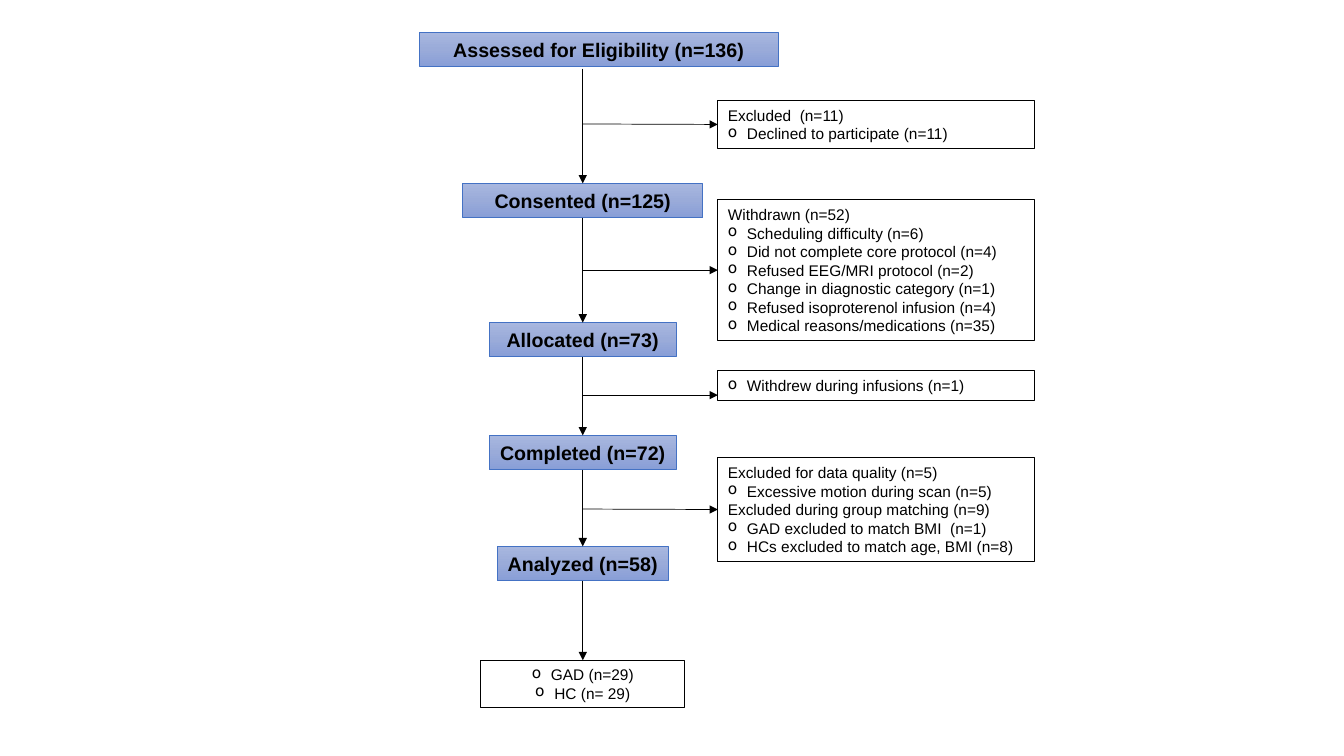
from copy import deepcopy
from dataclasses import dataclass

from lxml import etree
from pptx import Presentation
from pptx.dml.color import RGBColor
from pptx.enum.shapes import MSO_CONNECTOR, MSO_SHAPE
from pptx.enum.text import MSO_ANCHOR, PP_ALIGN
from pptx.oxml.ns import qn
from pptx.util import Inches, Pt

RECTANGLE = MSO_SHAPE.RECTANGLE
STRAIGHT = MSO_CONNECTOR.STRAIGHT
MIDDLE = MSO_ANCHOR.MIDDLE
LEFT, CENTER = PP_ALIGN.LEFT, PP_ALIGN.CENTER
TOP_SIDE, LEFT_SIDE, BOTTOM_SIDE = 0, 1, 2


@dataclass(frozen=True)
class Theme:
    """Colours, type sizes and line widths of the flow chart."""
    font: str = "Arial"
    ink: RGBColor = RGBColor(0, 0, 0)
    stage_line: RGBColor = RGBColor(0x44, 0x72, 0xC4)
    gradient: tuple = ((0, "A8B7DF"), (0.5, "9AABD9"), (1, "889ED7"))
    stage_size: Pt = Pt(14)
    note_size: Pt = Pt(11)
    thin: Pt = Pt(0.5)
    note_line: Pt = Pt(0.75)


THEME = Theme()
AXIS = 5.78
NOTE_LEFT, NOTE_WIDTH = 7.12, 3.14
STAGE_HEIGHT = 0.34

# Text, centre, top, width
STAGES = (
    ("Assessed for Eligibility (n=136)", 5.94, 0.32, 3.56),
    ("Consented (n=125)", AXIS, 1.82, 2.38),
    ("Allocated (n=73)", AXIS, 3.2, 1.86),
    ("Completed (n=72)", AXIS, 4.32, 1.86),
    ("Analyzed (n=58)", AXIS, 5.42, 1.7),
)

# Top, height, arrow height, then (text, bulleted) lines
NOTES = (
    (1, 0.47, 1.23, (("Excluded  (n=11)", False), ("Declined to participate (n=11)", True))),
    (1.98, 1.4, 2.68, (
        ("Withdrawn (n=52)", False),
        ("Scheduling difficulty (n=6)", True),
        ("Did not complete core protocol (n=4)", True),
        ("Refused EEG/MRI protocol (n=2)", True),
        ("Change in diagnostic category (n=1)", True),
        ("Refused isoproterenol infusion (n=4)", True),
        ("Medical reasons/medications (n=35)", True),
    )),
    (3.68, 0.29, 3.92, (("Withdrew during infusions (n=1)", True),)),
    (4.54, 1.03, 5.05, (
        ("Excluded for data quality (n=5)", False),
        ("Excessive motion during scan (n=5)", True),
        ("Excluded during group matching (n=9)", False),
        ("GAD excluded to match BMI  (n=1)", True),
        ("HCs excluded to match age, BMI (n=8)", True),
    )),
)
GROUPS = (("GAD (n=29)", True), ("HC (n= 29)", True))


def add_box(page, left, top, width, height, line_color, line_width):
    """Add a plain outlined rectangle."""
    box = page.shapes.add_shape(RECTANGLE, Inches(left), Inches(top), Inches(width), Inches(height))
    box.shadow.inherit = False
    box.fill.background()
    box.line.color.rgb = line_color
    box.line.width = line_width
    box.text_frame.vertical_anchor = MIDDLE
    return box


def write_lines(box, lines, size, bold, align):
    """Write text lines into a box, with hanging bullets where asked."""
    frame = box.text_frame
    for index, (text, bulleted) in enumerate(lines):
        para = frame.paragraphs[0] if index == 0 else frame.add_paragraph()
        para.text = text
        para.alignment = align
        para.font.name = THEME.font
        para.font.size = size
        para.font.bold = bold
        para.font.color.rgb = THEME.ink
        if bulleted:
            properties = para._p.get_or_add_pPr()
            properties.set("marL", str(Inches(0.19)))
            properties.set("indent", str(-Inches(0.19)))
            bullet = etree.Element(qn("a:buChar"), char="o")
            properties.insert_element_before(bullet, "a:tabLst", "a:defRPr", "a:extLst")


def add_stage(page, text, center, top, width):
    """Add a shaded stage box centred on the given position."""
    box = add_box(page, center - width / 2, top, width, STAGE_HEIGHT, THEME.stage_line, THEME.thin)
    box.fill.gradient()
    box.fill.gradient_angle = 270
    stop_list = box._element.spPr.find(qn("a:gradFill")).find(qn("a:gsLst"))
    stop_list.insert(1, deepcopy(stop_list[0]))
    for stop, (position, color) in zip(box.fill.gradient_stops, THEME.gradient):
        stop.position = position
        stop.color.rgb = RGBColor.from_string(color)
    box.text_frame.word_wrap = False
    write_lines(box, ((text, False),), THEME.stage_size, True, CENTER)
    return box


def add_note(page, left, top, width, height, lines, align=LEFT):
    """Add an unfilled box of reasons or groups."""
    box = add_box(page, left, top, width, height, THEME.ink, THEME.note_line)
    box.text_frame.word_wrap = True
    write_lines(box, lines, THEME.note_size, False, align)
    return box


def add_arrow(page, start, end):
    """Add a thin arrow between two points."""
    arrow = page.shapes.add_connector(STRAIGHT, *(Inches(value) for value in start + end))
    arrow.line.color.rgb = THEME.ink
    arrow.line.width = THEME.thin
    etree.SubElement(arrow.line._get_or_add_ln(), qn("a:tailEnd"), type="triangle")
    etree.SubElement(arrow._element.spPr, qn("a:effectLst"))
    return arrow


def add_main_flow(page):
    """Add the stages, the final groups and the arrows down the axis."""
    boxes = [add_stage(page, *stage) for stage in STAGES]
    boxes.append(add_note(page, AXIS - 1.01, 6.55, 2.02, 0.47, GROUPS, CENTER))
    tops = [top for _, _, top, _ in STAGES] + [6.55]
    for index, (_, center, top, _) in enumerate(STAGES):
        arrow = add_arrow(page, (AXIS, top + STAGE_HEIGHT + 0.02), (AXIS, tops[index + 1]))
        if center == AXIS:
            arrow.begin_connect(boxes[index], BOTTOM_SIDE)
        arrow.end_connect(boxes[index + 1], TOP_SIDE)


def add_side_notes(page):
    """Add the exclusion notes and their arrows from the axis."""
    for top, height, arrow_top, lines in NOTES:
        note = add_note(page, NOTE_LEFT, top, NOTE_WIDTH, height, lines)
        arrow = add_arrow(page, (AXIS, arrow_top), (NOTE_LEFT, arrow_top))
        if abs(top + height / 2 - arrow_top) < 0.02:
            arrow.end_connect(note, LEFT_SIDE)


def main():
    """Build the participant flow slide."""
    deck = Presentation()
    deck.slide_width, deck.slide_height = Inches(13.33), Inches(7.5)
    page = deck.slides.add_slide(deck.slide_layouts[6])
    add_main_flow(page)
    add_side_notes(page)
    deck.save("out.pptx")


if __name__ == "__main__":
    main()
